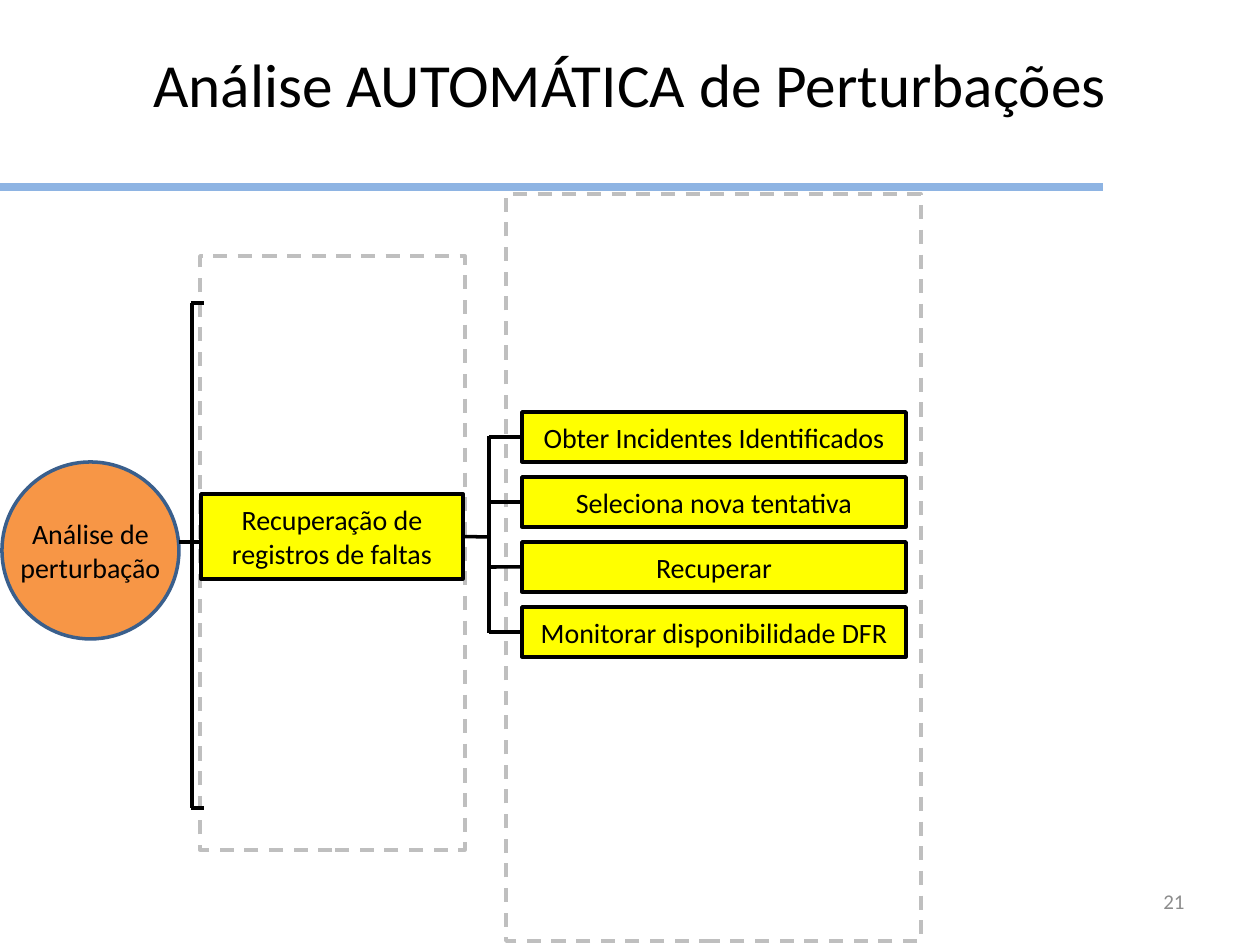
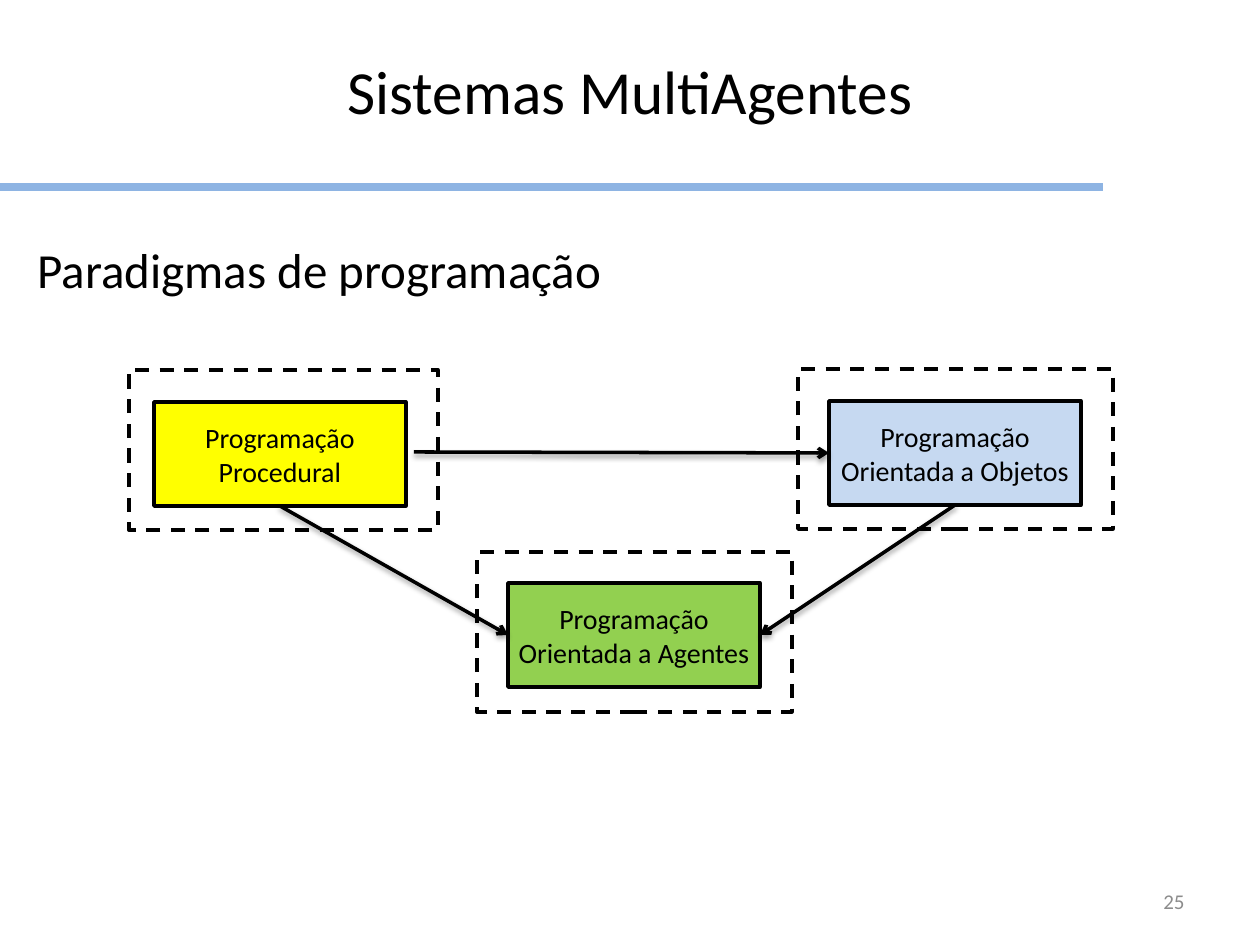
from lxml import etree
from pptx import Presentation
from pptx.dml.color import RGBColor
from pptx.enum.dml import MSO_LINE
from pptx.enum.shapes import MSO_CONNECTOR, MSO_SHAPE
from pptx.enum.text import MSO_ANCHOR, MSO_AUTO_SIZE, PP_ALIGN
from pptx.oxml.ns import qn
from pptx.util import Emu, Pt

STRAIGHT = MSO_CONNECTOR.STRAIGHT
RECTANGLE, OVAL = MSO_SHAPE.RECTANGLE, MSO_SHAPE.OVAL
DASH = MSO_LINE.DASH
MIDDLE = MSO_ANCHOR.MIDDLE
NO_FIT = MSO_AUTO_SIZE.NONE
CENTER, RIGHT, JUSTIFY = PP_ALIGN.CENTER, PP_ALIGN.RIGHT, PP_ALIGN.JUSTIFY
TOP_SIDE, LEFT_SIDE, BOTTOM_SIDE, RIGHT_SIDE = range(4)
TITLE_AND_BODY, TITLE_ONLY = 1, 5

FONT = "Calibri"
PX_PER_INCH = 126
COLORS = {
    "black": "000000",
    "rule": "8EB4E3",
    "gray": "BFBFBF",
    "number": "8C8C8C",
    "yellow": "FFFF00",
    "orange": "F79646",
    "circle_line": "3A5F8C",
    "blue": "C6D9F1",
    "green": "92D050",
}

ANALYSIS = {
    "title": "Análise AUTOMÁTICA de Perturbações",
    "title_top": 39,
    "number": "21",
    "root": "Análise de\nperturbação",
    "stage": "Recuperação de registros de faltas",
    "steps": [
        "Obter Incidentes Identificados",
        "Seleciona nova tentativa",
        "Recuperar",
        "Monitorar disponibilidade DFR",
    ],
    "frames": [(506, 194, 415, 747), (200, 256, 265, 594)],
}
AGENTS = {
    "title": "Sistemas MultiAgentes",
    "title_top": 47,
    "number": "25",
    "body": "Paradigmas de programação",
    "paradigms": {
        "procedural": ("Programação Procedural", "yellow", (154, 402), (129, 370, 309, 160)),
        "objects": ("Programação Orientada a Objetos", "blue", (829, 401), (798, 369, 315, 160)),
        "agents": ("Programação Orientada a Agentes", "green", (508, 583), (477, 552, 315, 160)),
    },
}


def px(length):
    return Emu(round(length * 914400 / PX_PER_INCH))


def rgb(name):
    return RGBColor.from_string(COLORS[name])


def place(shape, left, top, width, height):
    shape.left, shape.top = px(left), px(top)
    shape.width, shape.height = px(width), px(height)


def write(shape, text, size, align=CENTER, color="black"):
    frame = shape.text_frame
    frame.text = text
    frame.auto_size = NO_FIT
    for para in frame.paragraphs:
        para.alignment = align
        for span in para.runs:
            span.font.name = FONT
            span.font.size = Pt(size)
            span.font.color.rgb = rgb(color)


def add_box(slide, area, fill=None, line="black", text="", kind=RECTANGLE, wrap=True):
    box = slide.shapes.add_shape(kind, *map(px, area))
    box.shadow.inherit = False
    if fill:
        box.fill.solid()
        box.fill.fore_color.rgb = rgb(fill)
    else:
        box.fill.background()
        box.line.dash_style = DASH
    box.line.color.rgb = rgb(line)
    box.line.width = Pt(2)
    if text:
        write(box, text, 16)
        frame = box.text_frame
        frame.word_wrap = wrap
        frame.vertical_anchor = MIDDLE
        frame.margin_left = frame.margin_right = px(6)
        frame.margin_top = frame.margin_bottom = 0
    return box


def add_line(slide, start, end, color="black", width=2):
    line = slide.shapes.add_connector(STRAIGHT, *map(px, start + end))
    line.line.color.rgb = rgb(color)
    line.line.width = Pt(width)
    etree.SubElement(line._element.spPr, qn("a:effectLst"))
    return line


def add_arrow(slide, start, end):
    arrow = add_line(slide, start, end)
    properties = arrow._element.spPr
    etree.SubElement(properties.find(qn("a:ln")), qn("a:tailEnd"), type="arrow")
    shadow = etree.SubElement(
        properties.find(qn("a:effectLst")), qn("a:outerShdw"),
        blurRad="40000", dist="20000", dir="5400000", rotWithShape="0",
    )
    shade = etree.SubElement(shadow, qn("a:srgbClr"), val=COLORS["black"])
    etree.SubElement(shade, qn("a:alpha"), val="38000")
    return arrow


def add_slide(deck, layout, content):
    slide = deck.slides.add_slide(deck.slide_layouts[layout])
    add_line(slide, (0, 187), (1103, 187), "rule", 5)
    title = slide.shapes.title
    place(title, 0, content["title_top"], 1260, 87)
    write(title, content["title"], 35)
    number = slide.shapes.add_textbox(*map(px, (903, 876, 294, 50)))
    write(number, content["number"], 12, RIGHT, "number")
    number.text_frame.word_wrap = True
    number.text_frame.vertical_anchor = MIDDLE
    return slide


def build_analysis(deck):
    slide = add_slide(deck, TITLE_ONLY, ANALYSIS)
    for area in ANALYSIS["frames"]:
        add_box(slide, area, line="gray")
    add_box(slide, (2, 462, 177, 177), "orange", "circle_line", ANALYSIS["root"], OVAL, wrap=False)

    bracket_x, bracket_ends = 192, (303, 808)
    add_line(slide, (bracket_x, bracket_ends[0]), (bracket_x, bracket_ends[1]))
    for y in bracket_ends:
        add_line(slide, (bracket_x - 1, y), (bracket_x + 12, y))
    add_line(slide, (179, 542), (201, 542))

    stage = add_box(slide, (201, 494, 262, 85), "yellow", text=ANALYSIS["stage"])
    spine_x, step_left, step_top, step_height, pitch = 489, 522, 412, 50, 65
    add_line(slide, (463, 537), (spine_x, 537)).begin_connect(stage, RIGHT_SIDE)
    middles = []
    for index, text in enumerate(ANALYSIS["steps"]):
        top = step_top + index * pitch
        step = add_box(slide, (step_left, top, 384, step_height), "yellow", text=text)
        middle = top + step_height // 2
        add_line(slide, (spine_x, middle), (step_left, middle)).end_connect(step, LEFT_SIDE)
        middles.append(middle)
    add_line(slide, (spine_x, middles[0] - 1), (spine_x, middles[-1] + 1))


def build_agents(deck):
    slide = add_slide(deck, TITLE_AND_BODY, AGENTS)
    body = slide.placeholders[1]
    place(body, 25, 204, 1223, 92)
    write(body, AGENTS["body"], 28, JUSTIFY)
    para = body.text_frame.paragraphs[0]
    para.line_spacing = 1.5
    para.space_before, para.space_after = Pt(0), Pt(6)
    properties = para._p.get_or_add_pPr()
    properties.set("marL", str(px(49)))
    properties.set("indent", str(px(-49)))
    etree.SubElement(properties, qn("a:buNone"))

    boxes = {}
    for name, (text, fill, corner, frame_area) in AGENTS["paradigms"].items():
        add_box(slide, frame_area)
        boxes[name] = add_box(slide, corner + (252, 104), fill, text=text)
    for name, side in (("procedural", LEFT_SIDE), ("objects", RIGHT_SIDE)):
        arrow = add_arrow(slide, (0, 0), (0, 0))
        arrow.begin_connect(boxes[name], BOTTOM_SIDE)
        arrow.end_connect(boxes["agents"], side)
    arrow = add_arrow(slide, (414, 452), (829, 453))
    arrow.end_connect(boxes["objects"], LEFT_SIDE)


def main():
    deck = Presentation()
    deck.slide_width, deck.slide_height = px(1260), px(945)
    build_analysis(deck)
    build_agents(deck)
    deck.save("out.pptx")


if __name__ == "__main__":
    main()
